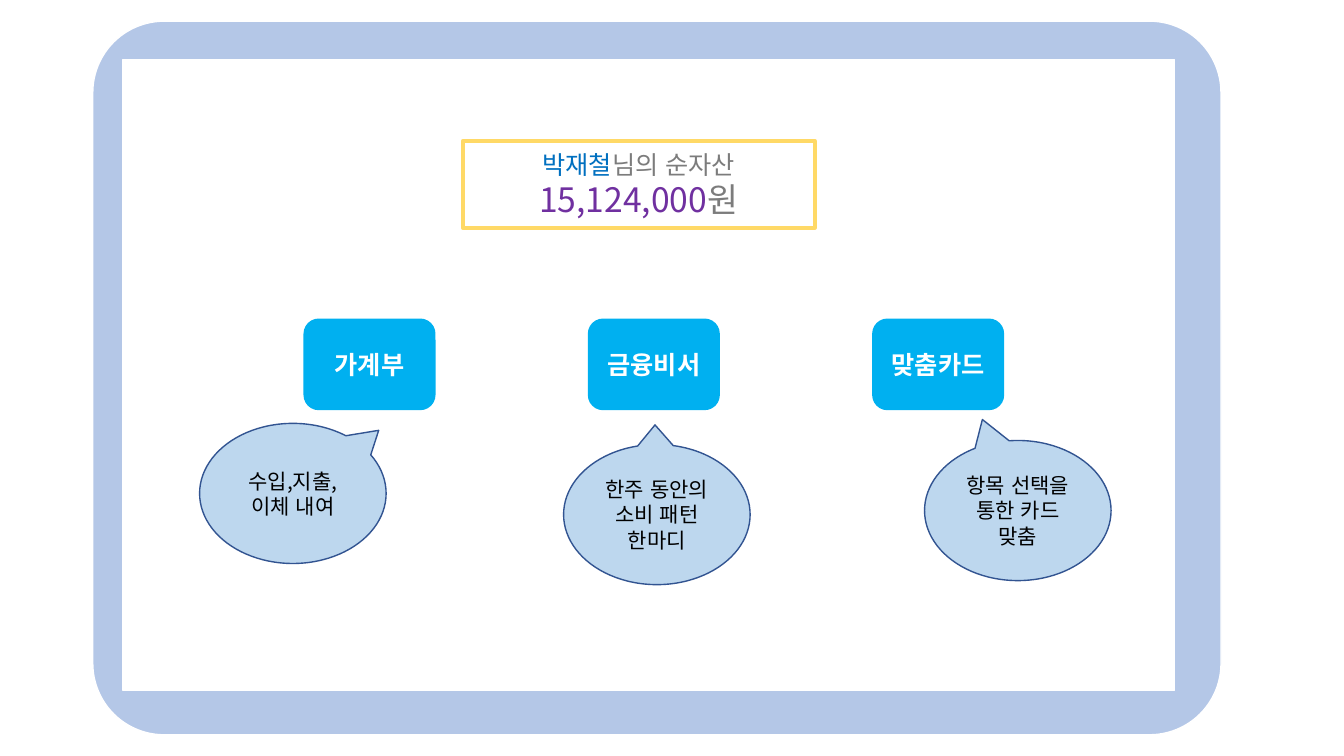
from dataclasses import dataclass

from lxml.etree import SubElement
from pptx import Presentation
from pptx.dml.color import RGBColor
from pptx.enum.lang import MSO_LANGUAGE_ID
from pptx.enum.shapes import MSO_SHAPE
from pptx.enum.text import MSO_ANCHOR, PP_ALIGN
from pptx.oxml.ns import qn
from pptx.slide import Slide
from pptx.text.text import _Paragraph
from pptx.util import Emu, Pt


@dataclass(frozen=True)
class Theme:
    font: str = "Noto Sans CJK KR"
    frame: str = "B4C7E7"
    white: str = "FFFFFF"
    gold: str = "FFD966"
    button: str = "00B0F0"
    bubble: str = "BDD7EE"
    outline: str = "325491"
    name: str = "0070C0"
    amount: str = "7030A0"
    grey: str = "7C7C7C"
    black: str = "000000"
    note_size: int = 15
    label_size: int = 18
    amount_size: int = 24


@dataclass(frozen=True)
class Span:
    text: str
    size: int
    color: str
    bold: bool = False


@dataclass(frozen=True)
class Box:
    kind: MSO_SHAPE
    left: int
    top: int
    width: int
    height: int
    fill: str
    line: str = ""
    line_width: int = 1
    adjustments: tuple[float, ...] = ()
    paras: tuple[tuple[Span, ...], ...] = ()


@dataclass(frozen=True)
class Feature:
    label: str
    note: str
    bubble_left: int
    bubble_top: int
    tip: tuple[float, float]


THEME = Theme()
PX = 9144
BUTTON_LEFT = 301
BUTTON_STEP = 282

SCREEN = (
    Box(MSO_SHAPE.ROUNDED_RECTANGLE, 92, 21, 1119, 708, THEME.frame, THEME.white,
        adjustments=(0.1,)),
    Box(MSO_SHAPE.RECTANGLE, 122, 59, 1043, 626, THEME.white, THEME.white),
    Box(MSO_SHAPE.RECTANGLE, 459, 140, 349, 86, THEME.white, THEME.gold, 3, paras=(
        (Span("박재철", THEME.label_size, THEME.name),
         Span("님의 순자산", THEME.label_size, THEME.grey)),
        (Span("15,124,000", THEME.amount_size, THEME.amount),
         Span("원", THEME.amount_size, THEME.grey)),
    )),
)

FEATURES = (
    Feature("가계부", "수입,지출,이체 내여", 198, 420, (0.46, -0.45)),
    Feature("금융비서", "한주 동안의 소비 패턴 한마디", 559, 441, (-0.01, -0.64)),
    Feature("맞춤카드", "항목 선택을 통한 카드 맞춤", 917, 437, (-0.19, -0.65)),
)


def button_box(index: int, feature: Feature) -> Box:
    label = Span(feature.label, THEME.label_size, THEME.white, True)
    return Box(MSO_SHAPE.ROUNDED_RECTANGLE, BUTTON_LEFT + index * BUTTON_STEP, 316,
               131, 91, THEME.button, paras=((label,),))


def bubble_box(feature: Feature) -> Box:
    note = Span(feature.note, THEME.note_size, THEME.black)
    return Box(MSO_SHAPE.OVAL_CALLOUT, feature.bubble_left, feature.bubble_top,
               185, 139, THEME.bubble, THEME.outline,
               adjustments=feature.tip, paras=((note,),))


def add_span(para: _Paragraph, span: Span) -> None:
    run = para.add_run()
    run.text = span.text
    formats = {
        "name": THEME.font,
        "size": Pt(span.size),
        "bold": span.bold,
        "language_id": MSO_LANGUAGE_ID.KOREAN,
    }
    for attribute, value in formats.items():
        setattr(run.font, attribute, value)
    run.font.color.rgb = RGBColor.from_string(span.color)
    SubElement(run.font._element, qn("a:ea")).set("typeface", THEME.font)


def add_box(page: Slide, box: Box) -> None:
    bounds = (Emu(length * PX) for length in (box.left, box.top, box.width, box.height))
    shape = page.shapes.add_shape(box.kind, *bounds)
    shape.shadow.inherit = False
    shape.fill.solid()
    shape.fill.fore_color.rgb = RGBColor.from_string(box.fill)
    if box.line:
        shape.line.color.rgb = RGBColor.from_string(box.line)
        shape.line.width = Pt(box.line_width)
    else:
        shape.line.fill.background()
    for index, value in enumerate(box.adjustments):
        shape.adjustments[index] = value
    frame = shape.text_frame
    for attribute, value in {"word_wrap": True, "vertical_anchor": MSO_ANCHOR.MIDDLE}.items():
        setattr(frame, attribute, value)
    for index, spans in enumerate(box.paras):
        para = frame.add_paragraph() if index else frame.paragraphs[0]
        para.alignment = PP_ALIGN.CENTER
        for span in spans:
            add_span(para, span)


def main() -> None:
    deck = Presentation()
    deck.slide_width, deck.slide_height = Emu(1333 * PX), Emu(750 * PX)
    page = deck.slides.add_slide(deck.slide_layouts[6])
    buttons = [button_box(index, feature) for index, feature in enumerate(FEATURES)]
    bubbles = [bubble_box(feature) for feature in FEATURES]
    for box in (*SCREEN, *buttons, *bubbles):
        add_box(page, box)
    deck.save("out.pptx")


if __name__ == "__main__":
    main()
